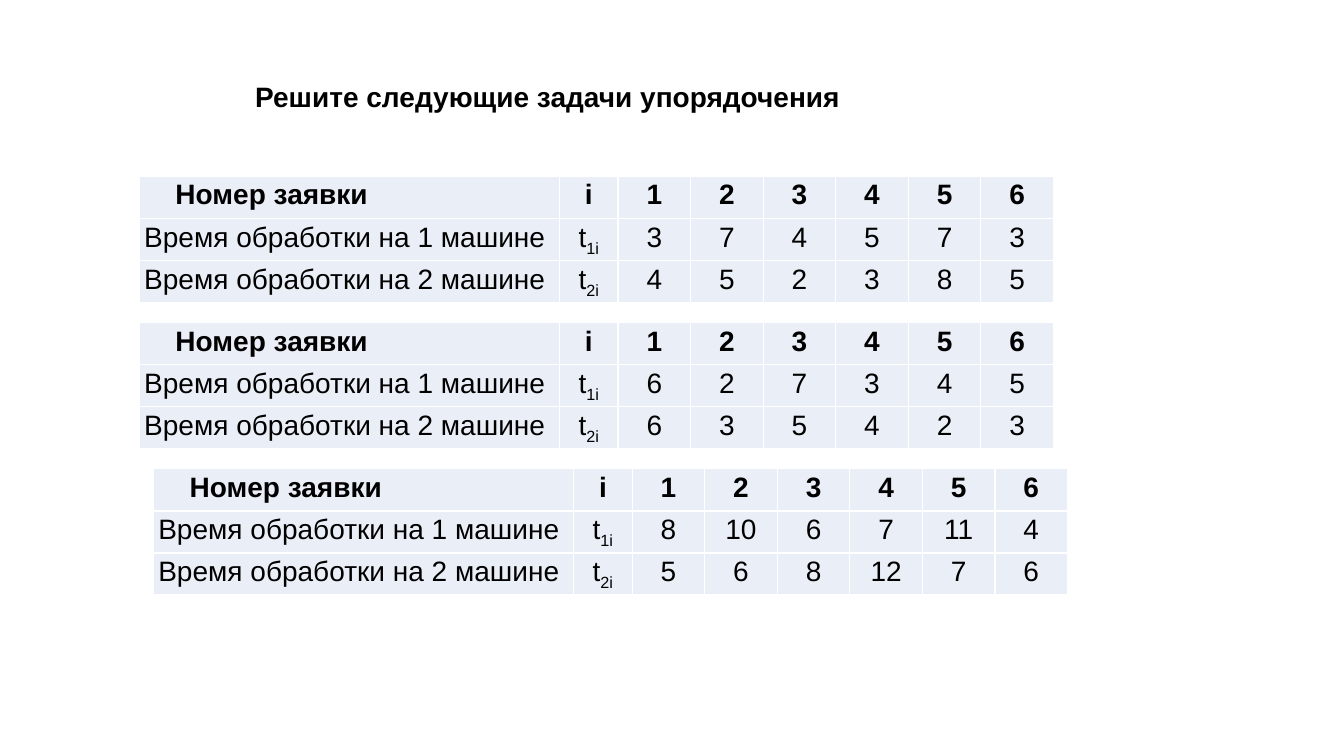
import pptx
import pptx.dml.color
import pptx.enum.text
import pptx.oxml
import pptx.oxml.ns
import pptx.util
from pptx.util import Inches

COLORS = {"text": "000000", "cell": "EAEFF7", "border": "FFFFFF"}
ALIGN = pptx.enum.text.PP_ALIGN
COLUMN_WIDTHS = [4.17, 0.58] + [0.72] * 6
ROW_HEIGHTS = [0.42, 0.28, 0.3]
TABLE_TOP, TABLE_PITCH = 1.75, 1.45
HEADING_INDENT = 0.31

# Left edge of each task table and the job times on machines 1 and 2
TASKS = [
    (1.38, [3, 7, 4, 5, 7, 3], [4, 5, 2, 3, 8, 5]),
    (1.38, [6, 2, 7, 3, 4, 5], [6, 3, 5, 4, 2, 3]),
    (1.52, [8, 10, 6, 7, 11, 4], [5, 6, 8, 12, 7, 6]),
]


def write(para, text, subscript="", bold=False, align=ALIGN.CENTER, indent=0):
    """Fill a paragraph with text and an optional trailing subscript."""
    para.alignment = align
    para.line_spacing = 1.07
    para.space_before = pptx.util.Pt(0)
    para.space_after = pptx.util.Pt(8)
    if indent:
        para._p.get_or_add_pPr().set("marL", str(Inches(indent)))
    for part, baseline in ((text, 0), (subscript, -25000)):
        if not part:
            continue
        span = para.add_run()
        span.text = part
        span.font.name = "Arial"
        span.font.size = pptx.util.Pt(20)
        span.font.bold = bold
        span.font.color.rgb = pptx.dml.color.RGBColor.from_string(COLORS["text"])
        if baseline:
            span._r.get_or_add_rPr().set("baseline", str(baseline))


def format_cell(cell):
    cell.margin_left = cell.margin_right = Inches(0.05)
    cell.margin_top, cell.margin_bottom = Inches(0.01), 0
    properties = cell._tc.get_or_add_tcPr()
    for side in "LRTB":
        properties.append(pptx.oxml.parse_xml(
            f'<a:ln{side} {pptx.oxml.ns.nsdecls("a")} w="12700"><a:solidFill>'
            f'<a:srgbClr val="{COLORS["border"]}"/></a:solidFill></a:ln{side}>'))
    cell.fill.solid()
    cell.fill.fore_color.rgb = pptx.dml.color.RGBColor.from_string(COLORS["cell"])


def add_title(page, text):
    box = page.shapes.title
    box.left, box.top = Inches(2.43), Inches(0.72)
    box.width, box.height = Inches(7.51), Inches(0.43)
    frame = box.text_frame
    frame.word_wrap = True
    frame.auto_size = pptx.enum.text.MSO_AUTO_SIZE.SHAPE_TO_FIT_TEXT
    frame.vertical_anchor = pptx.enum.text.MSO_ANCHOR.TOP
    write(frame.paragraphs[0], text, bold=True, align=ALIGN.JUSTIFY)


def add_task_table(page, left, top, machine_times):
    rows = [("Номер заявки", "i", "", range(1, 7))]
    for machine, times in enumerate(machine_times, 1):
        rows.append((f"Время обработки на {machine} машине", "t", f"{machine}i", times))

    table = page.shapes.add_table(
        len(rows), len(COLUMN_WIDTHS), Inches(left), Inches(top),
        Inches(sum(COLUMN_WIDTHS)), Inches(sum(ROW_HEIGHTS))).table
    table.first_row = table.horz_banding = False
    for column, width in zip(table.columns, COLUMN_WIDTHS):
        column.width = Inches(width)
    for row, height in zip(table.rows, ROW_HEIGHTS):
        row.height = Inches(height)
    for cell in table.iter_cells():
        format_cell(cell)

    for number, (label, symbol, subscript, values) in enumerate(rows):
        heading = number == 0
        paras = [cell.text_frame.paragraphs[0] for cell in table.rows[number].cells]
        write(paras[0], label, bold=heading, align=ALIGN.JUSTIFY,
              indent=HEADING_INDENT if heading else 0)
        write(paras[1], symbol, subscript=subscript, bold=heading)
        for para, value in zip(paras[2:], values):
            write(para, str(value), bold=heading)


def main():
    deck = pptx.Presentation()
    deck.slide_width, deck.slide_height = Inches(13.33), Inches(7.5)
    page = deck.slides.add_slide(deck.slide_layouts.get_by_name("Title Only"))
    add_title(page, "Решите следующие задачи упорядочения")
    for index, (left, *machine_times) in enumerate(TASKS):
        add_task_table(page, left, TABLE_TOP + index * TABLE_PITCH, machine_times)
    deck.save("out.pptx")


if __name__ == "__main__":
    main()
